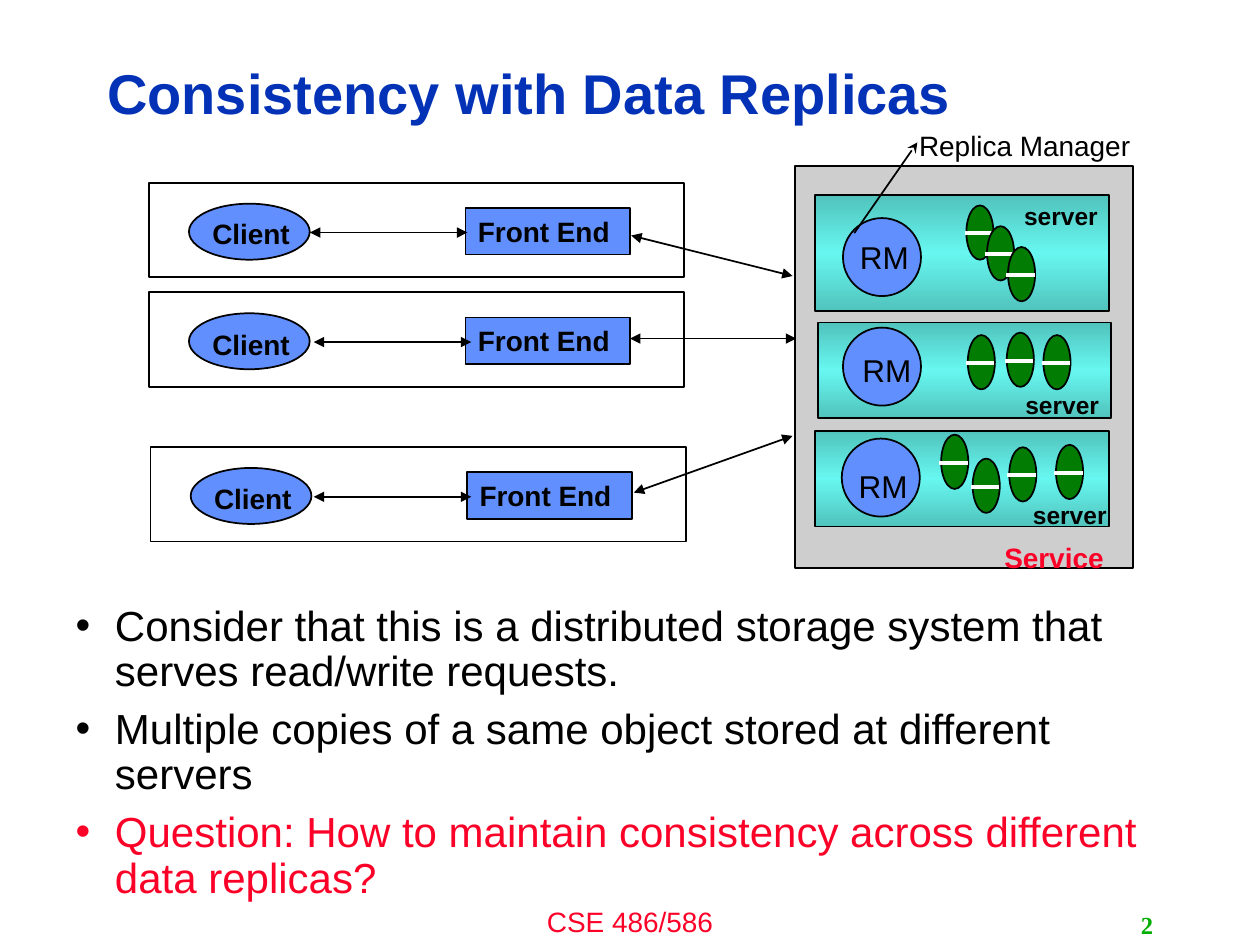
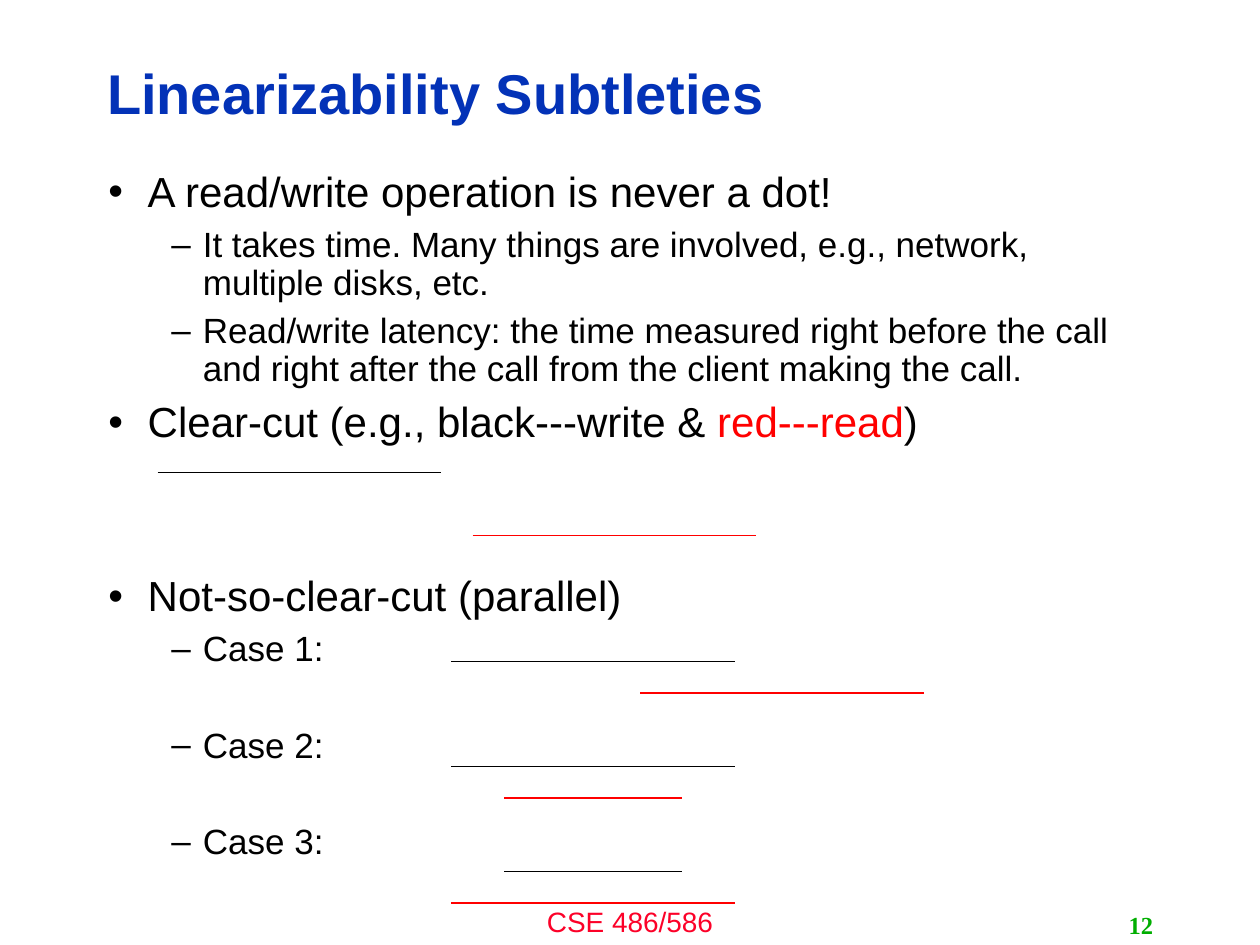
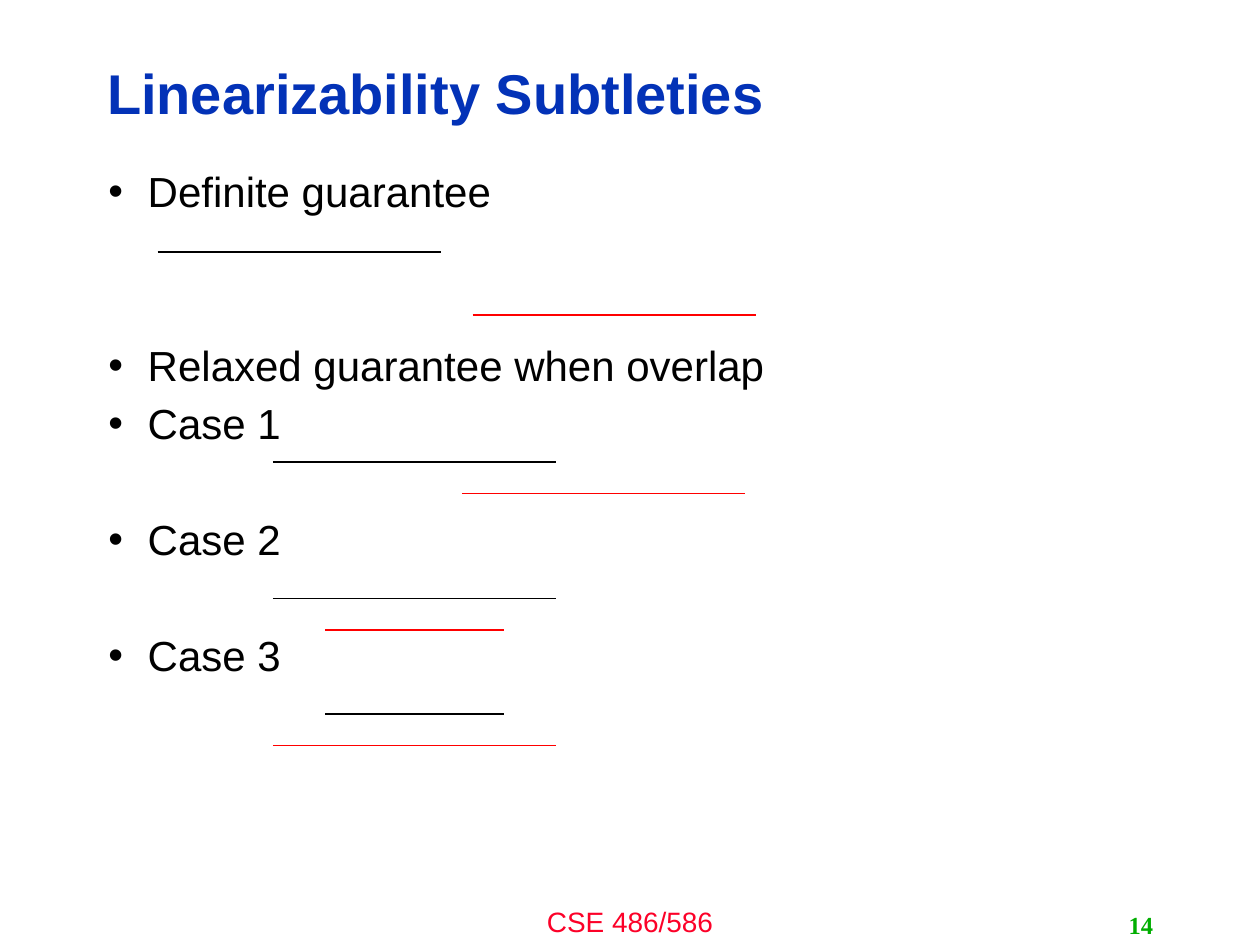
import copy
import dataclasses

import pptx
import pptx.dml.color
import pptx.enum.shapes
import pptx.enum.text
import pptx.oxml.ns
import pptx.oxml.xmlchemy
import pptx.util

Pt = pptx.util.Pt
SHAPE = pptx.enum.shapes.MSO_SHAPE
ALIGN = pptx.enum.text.PP_ALIGN
ANCHOR = pptx.enum.text.MSO_ANCHOR


@dataclasses.dataclass(frozen=True)
class Theme:
    font: str = "Arial"
    number_font: str = "Times New Roman"
    black: str = "000000"
    white: str = "FFFFFF"
    title: str = "0332B7"
    accent: str = "FC0128"
    red: str = "FF0000"
    number: str = "00AE00"
    node: str = "618FFD"
    service: str = "CECECE"
    disk: str = "037C03"
    server: tuple = ("51C3BD", "67F7F0", "51C3BD")
    title_size: int = 32
    body_sizes: tuple = (24, 20)
    body_indents: tuple = ((22.5, -22.5), (54, -18))
    manager_size: int = 18
    label_size: int = 16
    small_size: int = 14
    line_spacing: float = 0.9
    gap_ratio: float = 0.3      # paragraph gap, in type sizes
    row_ratio: float = 1.38     # one line with its gap, in type sizes


THEME = Theme()
BLACK, RED = THEME.black, THEME.red

# Bullets: level, free rows above, runs of (text, colour)
# Operations: start x, end x, y, colour
SLIDES = [
    {
        "title": "Consistency with Data Replicas",
        "number": "2",
        "body_box": (36, 342, 648, 186),
        "bullets": [
            (0, 0, [("Consider that this is a distributed storage system that "
                     "serves read/write requests.", BLACK)]),
            (0, 0, [("Multiple copies of a same object stored at different servers", BLACK)]),
            (0, 0, [("Question: How to maintain consistency across different "
                     "data replicas?", THEME.accent)]),
        ],
        "operations": [],
        "diagram": True,
    },
    {
        "title": "Linearizability Subtleties",
        "number": "12",
        "body_box": (54.7, 94.3, 605, 388),
        "bullets": [
            (0, 0, [("A read/write operation is never a dot!", BLACK)]),
            (1, 0, [("It takes time. Many things are involved, e.g., network, "
                     "multiple disks, etc.", BLACK)]),
            (1, 0, [("Read/write latency: the time measured right before the call "
                     "and right after the call from the client making the call.", BLACK)]),
            (0, 0, [("Clear-cut (e.g., black---write & ", BLACK),
                    ("red---read", RED), (")", BLACK)]),
            (0, 2, [("Not-so-clear-cut (parallel)", BLACK)]),
            (1, 0, [("Case 1:", BLACK)]),
            (1, 1, [("Case 2:", BLACK)]),
            (1, 1, [("Case 3:", BLACK)]),
        ],
        "operations": [
            (90, 252, 270, BLACK), (270, 432, 306, RED),
            (258, 420, 378, BLACK), (366, 528, 396, RED),
            (258, 420, 438, BLACK), (288, 390, 456, RED),
            (288, 390, 498, BLACK), (258, 420, 516, RED),
        ],
    },
    {
        "title": "Linearizability Subtleties",
        "number": "14",
        "body_box": (54.7, 94.3, 605, 388),
        "bullets": [
            (0, 0, [("Definite guarantee", BLACK)]),
            (0, 2, [("Relaxed guarantee when overlap", BLACK)]),
            (0, 0, [("Case 1", BLACK)]),
            (0, 1, [("Case 2", BLACK)]),
            (0, 1, [("Case 3", BLACK)]),
        ],
        "operations": [
            (90, 252, 144, BLACK), (270, 432, 180, RED),
            (156, 318, 264, BLACK), (264, 426, 282, RED),
            (156, 318, 342, BLACK), (186, 288, 360, RED),
            (186, 288, 408, BLACK), (156, 318, 426, RED),
        ],
    },
]

SERVICE_BOX = (454.3, 95, 193, 229.7)
SERVERS = [
    {"box": (465.8, 111.6, 167.8, 66.2), "circle": (481.7, 124.6),
     "manager": (478.8, 132.5), "label": (575.3, 111.6),
     "disks": [(552.2, 117.4), (564, 129.3), (576, 141.2)]},
    {"box": (467.3, 184.3, 167.8, 54.7), "circle": (481.7, 187.2),
     "manager": (480.2, 197.3), "label": (576, 219.6),
     "disks": [(553, 191.5), (575.3, 190.1), (596.2, 191.5)]},
    {"box": (465.8, 246.2, 167.8, 54.7), "circle": (481, 250.6),
     "manager": (478, 263.5), "label": (580.3, 282.2),
     "disks": [(537.8, 248.4), (555.8, 262.1), (576.7, 255.6), (603.4, 254.2)]},
]
# Client lanes: left, top, label top, start of inner link, link to the service
LANES = [
    (85, 104.4, 120.2, 177.1, (360.7, 134.6, 452.9, 157.7)),
    (85, 167, 183.6, 179.3, (360, 193.5, 455, 193.5)),
    (86, 255.4, 271.4, 179.3, (362.2, 281.5, 452.9, 249.1)),
]


def color(value):
    return pptx.dml.color.RGBColor.from_string(value)


def add_run(paragraph, text, size, value, bold=False, font=THEME.font):
    run = paragraph.add_run()
    run.text = text
    run.font.name = font
    run.font.size = Pt(size)
    run.font.bold = bold
    run.font.color.rgb = color(value)


def place(shape, box):
    shape.left, shape.top, shape.width, shape.height = map(Pt, box)


def add_label(slide, text, box, size=THEME.label_size, value=BLACK, bold=False,
              align=ALIGN.CENTER, font=THEME.font, anchor=ANCHOR.TOP):
    frame = slide.shapes.add_textbox(*map(Pt, box)).text_frame
    frame.word_wrap = True
    frame.vertical_anchor = anchor
    frame.paragraphs[0].alignment = align
    add_run(frame.paragraphs[0], text, size, value, bold, font)


def add_outlined(shapes, kind, box, fill=None):
    shape = shapes.add_shape(kind, *map(Pt, box))
    shape.shadow.inherit = False
    shape.line.color.rgb = color(BLACK)
    shape.line.width = Pt(1)
    if fill:
        shape.fill.solid()
        shape.fill.fore_color.rgb = color(fill)
    else:
        shape.fill.background()
    return shape


def fill_gradient(shape, values):
    """Fill the shape from top to bottom with three evenly spaced colours."""
    shape.fill.gradient()
    shape.fill.gradient_angle = 90
    stop_list = next(shape._element.iter(pptx.oxml.ns.qn("a:gsLst")))
    stop_list.insert(1, copy.deepcopy(stop_list[0]))
    for index, (stop, value) in enumerate(zip(shape.fill.gradient_stops, values)):
        stop.color.rgb = color(value)
        stop.position = index / 2


def add_line(shapes, points, value=BLACK, width=1, head=None, tail=None):
    line = shapes.add_connector(pptx.enum.shapes.MSO_CONNECTOR.STRAIGHT, *map(Pt, points))
    line.line.color.rgb = color(value)
    line.line.width = Pt(width)
    properties = line._element.spPr
    outline = properties.find(pptx.oxml.ns.qn("a:ln"))
    for tag, arrow in (("a:headEnd", head), ("a:tailEnd", tail)):
        if arrow:
            end = pptx.oxml.xmlchemy.OxmlElement(tag)
            end.set("type", arrow)
            outline.append(end)
    properties.append(pptx.oxml.xmlchemy.OxmlElement("a:effectLst"))


def write_title(slide, text):
    place(slide.shapes.title, (54, 26, 574.6, 58.3))
    frame = slide.shapes.title.text_frame
    frame.auto_size = pptx.enum.text.MSO_AUTO_SIZE.NONE
    frame.vertical_anchor = ANCHOR.MIDDLE
    paragraph = frame.paragraphs[0]
    paragraph.alignment = ALIGN.LEFT
    paragraph.line_spacing = THEME.line_spacing
    add_run(paragraph, text, THEME.title_size, THEME.title, bold=True)


def write_bullets(slide, bullets, box):
    body = slide.placeholders[1]
    place(body, box)
    frame = body.text_frame
    frame.auto_size = pptx.enum.text.MSO_AUTO_SIZE.NONE
    frame.vertical_anchor = ANCHOR.TOP
    for index, (level, free_rows, runs) in enumerate(bullets):
        paragraph = frame.add_paragraph() if index else frame.paragraphs[0]
        size = THEME.body_sizes[level]
        paragraph.level = level
        paragraph.line_spacing = THEME.line_spacing
        gap = size * (THEME.gap_ratio + THEME.row_ratio * free_rows)
        paragraph.space_before = Pt(gap if index else 0)
        margin, indent = THEME.body_indents[level]
        properties = paragraph._p.get_or_add_pPr()
        properties.set("marL", str(Pt(margin)))
        properties.set("indent", str(Pt(indent)))
        for text, value in runs:
            add_run(paragraph, text, size, value)


def write_footer(slide, number):
    add_label(slide, "CSE 486/586", (240, 513.4, 240, 26.6), value=THEME.accent)
    add_label(slide, number, (516, 517, 150, 23), THEME.small_size, THEME.number, True,
              ALIGN.RIGHT, THEME.number_font, ANCHOR.MIDDLE)


def draw_lane(slide, left, top, label_top, link_left, service_link):
    add_outlined(slide.shapes, SHAPE.RECTANGLE, (left, top, 306, 54))
    add_outlined(slide.shapes, SHAPE.OVAL, (left + 23, top + 12, 69, 32), THEME.node)
    add_label(slide, "Client", (left + 24, label_top, 69, 26.6), bold=True)
    front_end = add_outlined(slide.shapes, SHAPE.RECTANGLE,
                             (left + 181, top + 14.5, 94, 26.6), THEME.node)
    frame = front_end.text_frame
    frame.word_wrap = True
    frame.vertical_anchor = ANCHOR.TOP
    frame.paragraphs[0].alignment = ALIGN.LEFT
    add_run(frame.paragraphs[0], "Front End", THEME.label_size, BLACK, bold=True)
    middle = top + 28.5
    for points in ((link_left, middle, link_left + 90, middle), service_link):
        add_line(slide.shapes, points, head="triangle", tail="triangle")


def draw_disk(slide, left, top):
    group = slide.shapes.add_group_shape()
    add_outlined(group.shapes, SHAPE.OVAL, (left, top, 15.5, 31), THEME.disk)
    add_line(group.shapes, (left - 1, top + 16, left + 15.2, top + 16), THEME.white, 2.25)


def draw_server(slide, server):
    fill_gradient(add_outlined(slide.shapes, SHAPE.RECTANGLE, server["box"]), THEME.server)
    add_outlined(slide.shapes, SHAPE.OVAL, (*server["circle"], 44.6, 44.6), THEME.node)
    add_label(slide, "RM", (*server["manager"], 53.3, 26.6), THEME.manager_size)
    for left, top in server["disks"]:
        draw_disk(slide, left, top)
    add_label(slide, "server", (*server["label"], 62, 24.5), THEME.small_size, bold=True)


def draw_replica_diagram(slide):
    add_outlined(slide.shapes, SHAPE.RECTANGLE, SERVICE_BOX, THEME.service)
    for server in SERVERS:
        draw_server(slide, server)
    for lane in LANES:
        draw_lane(slide, *lane)
    add_label(slide, "Service", (563.8, 305.3, 77, 24.5), value=THEME.accent, bold=True)
    add_label(slide, "Replica Manager", (517, 69.8, 137, 26.6))
    add_line(slide.shapes, (488.2, 133.2, 524.2, 81.4), tail="stealth")


def main():
    presentation = pptx.Presentation()
    presentation.slide_width, presentation.slide_height = Pt(720), Pt(540)
    for content in SLIDES:
        slide = presentation.slides.add_slide(presentation.slide_layouts[1])
        write_title(slide, content["title"])
        write_bullets(slide, content["bullets"], content["body_box"])
        write_footer(slide, content["number"])
        for start, end, top, value in content["operations"]:
            add_line(slide.shapes, (start, top, end, top), value)
        if content.get("diagram"):
            draw_replica_diagram(slide)
    presentation.save("out.pptx")


if __name__ == "__main__":
    main()
